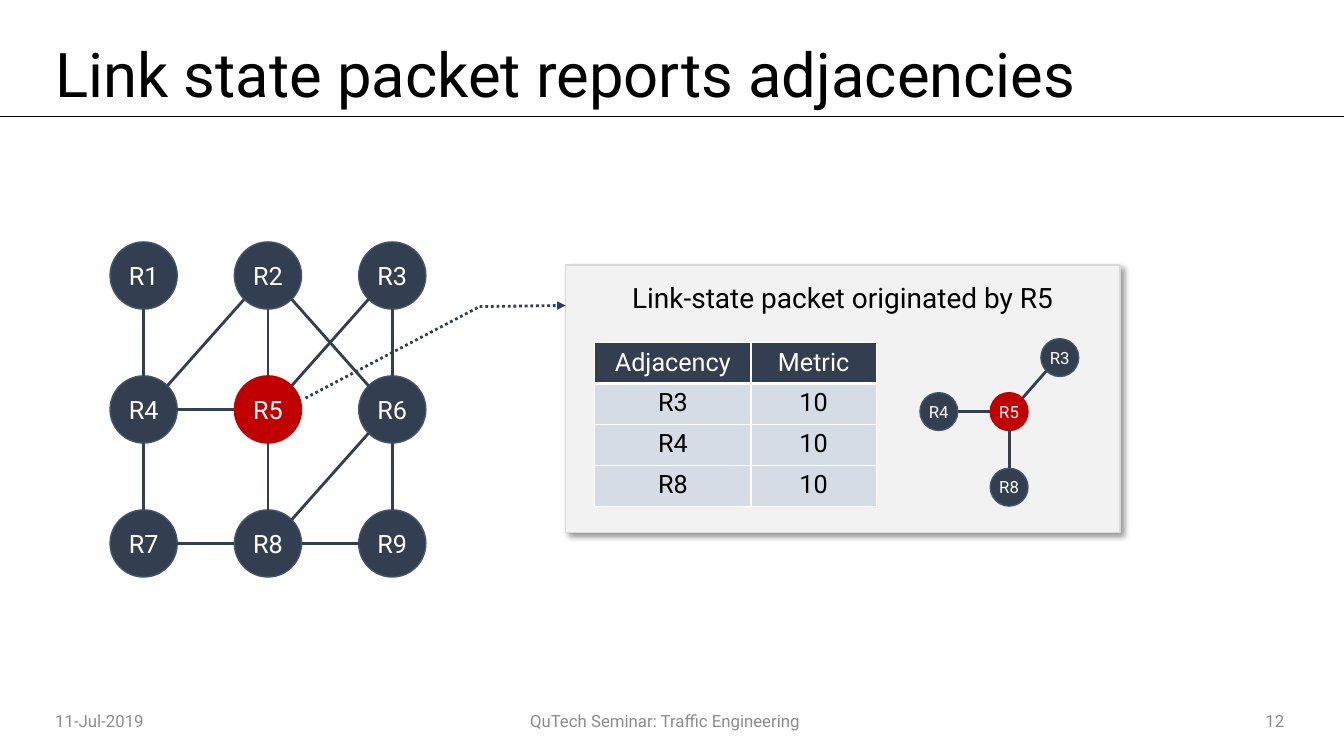
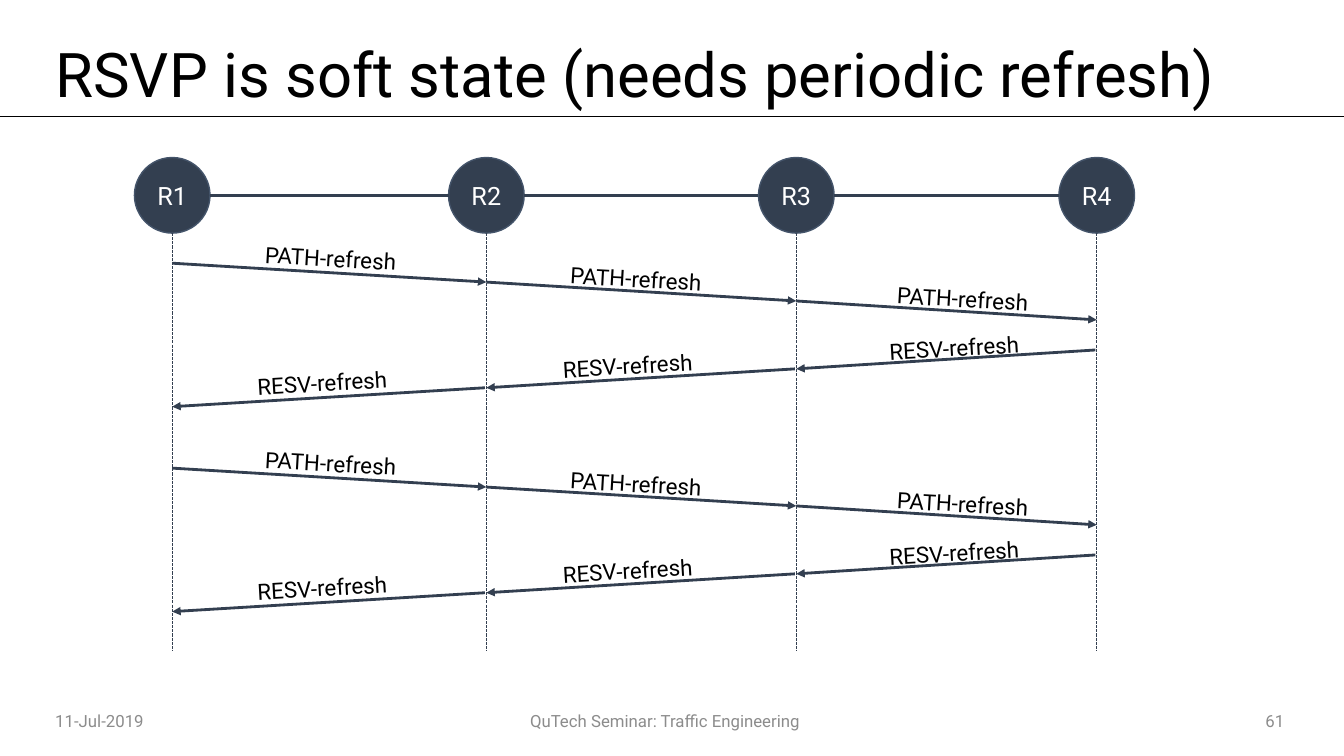
from dataclasses import dataclass
from itertools import pairwise
from math import sqrt

from lxml.etree import SubElement
from pptx import Presentation
from pptx.dml.color import RGBColor
from pptx.enum.dml import MSO_LINE as Dash
from pptx.enum.shapes import MSO_CONNECTOR as Connector, MSO_SHAPE as Shape
from pptx.enum.text import MSO_ANCHOR as Anchor, MSO_AUTO_SIZE as AutoSize, PP_ALIGN as Align
from pptx.oxml.ns import qn
from pptx.util import Pt


@dataclass(frozen=True)
class Theme:
    font: str = "Roboto"
    black: str = "000000"
    white: str = "FFFFFF"
    navy: str = "333F50"
    navy_edge: str = "44546A"
    red: str = "C00000"
    panel: str = "F2F2F2"
    panel_edge: str = "D9D9D9"
    row: str = "D6DCE5"
    grey: str = "8C8C8C"
    title_size: int = 44
    panel_size: int = 20
    body_size: int = 18
    message_size: int = 16
    small_size: int = 12
    link_width: int = 2


def rgb(value):
    return RGBColor.from_string(value)


def sub(parent, tag, **attributes):
    return SubElement(parent, qn(tag), {key: str(value) for key, value in attributes.items()})


@dataclass(frozen=True)
class Node:
    x: float
    y: float
    radius: float

    def edge_toward(self, other):
        dx = (other.x > self.x) - (other.x < self.x)
        dy = (other.y > self.y) - (other.y < self.y)
        reach = self.radius / sqrt(abs(dx) + abs(dy))
        return self.x + dx * reach, self.y + dy * reach


class Deck:
    def __init__(self, theme):
        self.theme = theme
        self.prs = Presentation()
        self.prs.slide_width, self.prs.slide_height = Pt(960), Pt(540)
        self.slide = None
        self.canvas = None

    def start_slide(self, heading, number):
        t = self.theme
        self.slide = self.prs.slides.add_slide(self.prs.slide_layouts[5])
        self.canvas = self.slide.shapes
        title = self.canvas.title
        title.left, title.top, title.width, title.height = Pt(32.4), Pt(26), Pt(892), Pt(58.3)
        self.fill_frame(title.text_frame, heading, t.title_size, t.black, Align.LEFT)
        title.text_frame.paragraphs[0].line_spacing = 0.9
        self.line((0, 82.8), (960, 82.8), 0.5, t.black)
        for left, width, text, align in (
            (32.4, 98.6, "11-Jul-2019", Align.LEFT),
            (139, 672, "QuTech Seminar: Traffic Engineering", Align.CENTER),
            (820.8, 103.7, str(number), Align.RIGHT),
        ):
            self.text(left, 500.4, width, 28.8, text, t.small_size, t.grey, align)

    def start_group(self):
        self.canvas = self.slide.shapes.add_group_shape().shapes

    def end_group(self):
        self.canvas = self.slide.shapes

    def fill_frame(self, frame, text, size, color, align=Align.CENTER,
                   anchor=Anchor.MIDDLE, insets=(7.2, 3.6, 7.2, 3.6)):
        frame.word_wrap = True
        frame.auto_size = AutoSize.NONE
        frame.vertical_anchor = anchor
        (frame.margin_left, frame.margin_top,
         frame.margin_right, frame.margin_bottom) = map(Pt, insets)
        self.add_run(frame.paragraphs[0], text, size, color, align)

    def add_run(self, paragraph, text, size, color, align):
        paragraph.alignment = align
        run = paragraph.add_run()
        run.text = text
        run.font.name = self.theme.font
        run.font.size = Pt(size)
        run.font.color.rgb = rgb(color)

    def text(self, left, top, width, height, text, size, color, align):
        box = self.canvas.add_textbox(Pt(left), Pt(top), Pt(width), Pt(height))
        self.fill_frame(box.text_frame, text, size, color, align)
        return box

    def shape(self, kind, left, top, width, height, fill, edge):
        shape = self.canvas.add_shape(kind, Pt(left), Pt(top), Pt(width), Pt(height))
        shape.shadow.inherit = False
        shape.fill.solid()
        shape.fill.fore_color.rgb = rgb(fill)
        shape.line.color.rgb = rgb(edge)
        shape.line.width = Pt(1)
        return shape

    def panel(self, left, top, width, height, caption):
        t = self.theme
        panel = self.shape(Shape.RECTANGLE, left, top, width, height, t.panel, t.panel_edge)
        effects = panel.element.spPr.find(qn("a:effectLst"))
        shadow = sub(effects, "a:outerShdw", blurRad=Pt(4), dist=Pt(3), dir=45 * 60000,
                     algn="tl", rotWithShape=0)
        sub(sub(shadow, "a:srgbClr", val=t.black), "a:alpha", val=40000)
        self.fill_frame(panel.text_frame, caption, t.panel_size, t.black,
                        anchor=Anchor.TOP, insets=(0, 10.8, 0, 3.6))

    def router(self, name, x, y, diameter, size, active=False):
        t = self.theme
        radius = diameter / 2
        fill, edge = (t.red, t.red) if active else (t.navy, t.navy_edge)
        circle = self.shape(Shape.OVAL, x - radius, y - radius, diameter, diameter, fill, edge)
        self.fill_frame(circle.text_frame, name, size, t.white, insets=(0, 0, 0, 0))
        return Node(x, y, radius)

    def line(self, start, end, width=None, color=None, dash=None, arrow=False):
        line = self.canvas.add_connector(Connector.STRAIGHT, *map(Pt, (*start, *end)))
        line.line.color.rgb = rgb(color or self.theme.navy)
        line.line.width = Pt(width or self.theme.link_width)
        if dash:
            line.line.dash_style = dash
        properties = line.element.spPr
        if arrow:
            sub(properties.find(qn("a:ln")), "a:tailEnd", type="triangle")
        sub(properties, "a:effectLst")

    def link(self, first, second):
        self.line(first.edge_toward(second), second.edge_toward(first))

    def message(self, text, start, end, label_x, lift, angle):
        t = self.theme
        self.line(start, end, arrow=True)
        label_y = (start[1] + end[1]) / 2 - lift
        label = self.text(label_x - 72, label_y - 18, 144, 36, text,
                          t.message_size, t.black, Align.CENTER)
        label.rotation = angle

    def table(self, left, top, widths, row_height, rows):
        t = self.theme
        table = self.canvas.add_table(len(rows), len(widths), Pt(left), Pt(top),
                                      Pt(sum(widths)), Pt(row_height * len(rows))).table
        table.first_row = table.horz_banding = False
        for column, width in zip(table.columns, widths):
            column.width = Pt(width)
        for r, values in enumerate(rows):
            table.rows[r].height = Pt(row_height)
            fill, color = (t.row, t.black) if r else (t.navy, t.white)
            borders = {"L": 1, "R": 1, "T": 3 if r == 1 else 1, "B": 1 if r else 3}
            for c, value in enumerate(values):
                cell = table.cell(r, c)
                properties = cell._tc.get_or_add_tcPr()
                for side, width in borders.items():
                    border = sub(properties, f"a:ln{side}", w=Pt(width))
                    sub(sub(border, "a:solidFill"), "a:srgbClr", val=t.white)
                cell.fill.solid()
                cell.fill.fore_color.rgb = rgb(fill)
                self.add_run(cell.text_frame.paragraphs[0], value, t.body_size, color, Align.CENTER)


def build_link_state(deck):
    t = deck.theme
    deck.start_slide("Link state packet reports adjacencies", 12)
    deck.panel(404, 189.4, 396, 190.8, "Link-state packet originated by R5")

    routers = {}
    for index in range(9):
        row, column = divmod(index, 3)
        name = f"R{index + 1}"
        routers[name] = deck.router(name, 102.6 + 88.8 * column, 196.8 + 95.7 * row,
                                    48, t.body_size, name == "R5")
    for pair in ("R1 R4", "R2 R4", "R2 R5", "R2 R6", "R3 R5", "R3 R6", "R4 R5",
                 "R4 R7", "R5 R8", "R6 R8", "R6 R9", "R7 R8", "R8 R9"):
        deck.link(*(routers[name] for name in pair.split()))

    adjacencies = ("R3", "R4", "R8")
    deck.table(424.8, 244.8, (111.6, 89.6), 29.2,
               [("Adjacency", "Metric"), *((name, "10") for name in adjacencies)])

    deck.start_group()
    neighbours = {}
    for name, x, y in (("R3", 757, 255.4), ("R4", 670.6, 294), ("R5", 720.8, 294), ("R8", 720.8, 348)):
        neighbours[name] = deck.router(name, x, y, 27, t.small_size, name == "R5")
    for name in adjacencies:
        deck.link(neighbours["R5"], neighbours[name])
    deck.end_group()

    bend = (342.6, 219)
    deck.line((218.2, 284.4), bend, dash=Dash.ROUND_DOT)
    deck.line(bend, (404, 218.2), dash=Dash.ROUND_DOT, arrow=True)


def build_soft_state(deck):
    t = deck.theme
    deck.start_slide("RSVP is soft state (needs periodic refresh)", 61)
    lifelines = (123, 347.4, 568.8, 783.4)
    routers = [deck.router(f"R{i}", x, 139.5, 54, t.body_size)
               for i, x in enumerate(lifelines, 1)]
    for first, second in pairwise(routers):
        deck.link(first, second)
    for x in lifelines:
        deck.line((x, 166.5), (x, 464.4), 0.75, dash=Dash.SQUARE_DOT)

    drop, tilt, reply_delay = 13.5, 3.4, 62
    label_centers = (236.2, 454.3, 687.6)
    label_lifts = (10.4, 9.2, 8.4)
    for top in (188, 334.4):
        for hop, (left, right) in enumerate(pairwise(lifelines)):
            center, lift = label_centers[hop], label_lifts[hop]
            y = top + drop * hop
            deck.message("PATH-refresh", (left, y), (right, y + drop), center, lift, tilt)
            y = top + reply_delay + drop * (2 - hop)
            deck.message("RESV-refresh", (right - 1, y), (left, y + drop), center - 6, lift, -tilt)


def main():
    deck = Deck(Theme())
    build_link_state(deck)
    build_soft_state(deck)
    deck.prs.save("out.pptx")


if __name__ == "__main__":
    main()
